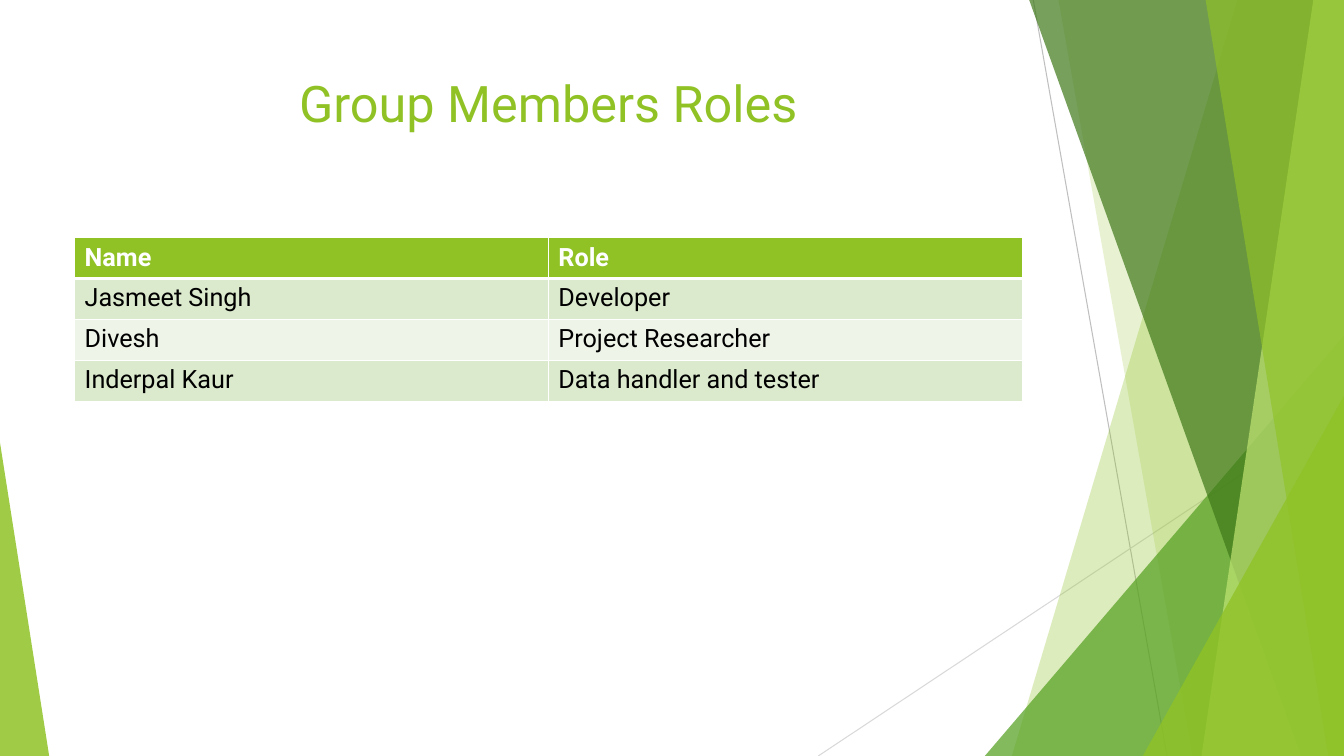
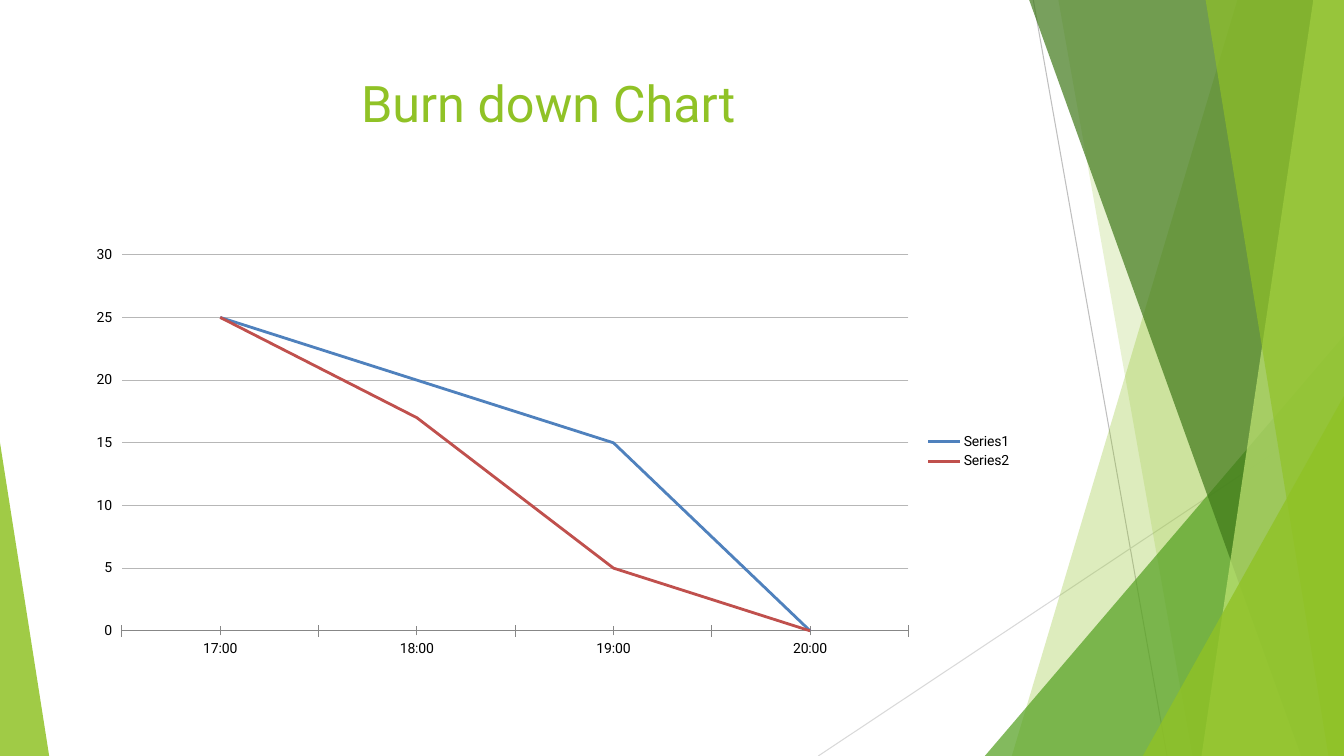
import lxml.etree
import pptx
import pptx.chart.data
import pptx.dml.color
import pptx.enum.chart
import pptx.enum.shapes
import pptx.enum.text
import pptx.oxml
import pptx.oxml.ns
import pptx.util

Cm = pptx.util.Cm
Pt = pptx.util.Pt
RGBColor = pptx.dml.color.RGBColor
qn = pptx.oxml.ns.qn

LIME = RGBColor(0x90, 0xC2, 0x26)
PALE_LIME = RGBColor(0xC0, 0xE4, 0x74)
GREEN = RGBColor(0x54, 0xA0, 0x21)
DARK_GREEN = RGBColor(0x3F, 0x78, 0x19)
BAND_DARK = RGBColor(0xDB, 0xE9, 0xCD)
BAND_LIGHT = RGBColor(0xEE, 0xF4, 0xE8)
WHITE = RGBColor(0xFF, 0xFF, 0xFF)
BLACK = RGBColor(0x00, 0x00, 0x00)
MID_GREY = RGBColor(0xBF, 0xBF, 0xBF)
LIGHT_GREY = RGBColor(0xD9, 0xD9, 0xD9)
GRID_GREY = RGBColor(0xB7, 0xB7, 0xB7)
AXIS_GREY = RGBColor(0x87, 0x87, 0x87)
BLUE = RGBColor(0x4F, 0x81, 0xBD)
RED = RGBColor(0xC0, 0x50, 0x4D)

FONT = "Roboto"
SLIDE_WIDTH, SLIDE_HEIGHT = 33.87, 19.05
CONTENT_LEFT, CONTENT_TOP, CONTENT_WIDTH = 1.88, 5.99, 23.88
ROW_HEIGHT = 1.03


def paint(shape, color, opacity):
    """Fill a shape with a see-through colour, without outline or shadow."""
    shape.shadow.inherit = False
    shape.line.fill.background()
    shape.fill.solid()
    shape.fill.fore_color.rgb = color
    color_element = shape.element.spPr.find(qn("a:solidFill"))[0]
    alpha = lxml.etree.SubElement(color_element, qn("a:alpha"))
    alpha.set("val", str(opacity * 1000))


def add_thin_line(slide, start, end, color):
    """Draw a hairline between two points."""
    line = slide.shapes.add_connector(
        pptx.enum.shapes.MSO_CONNECTOR.STRAIGHT,
        *(Cm(value) for value in start + end))
    line.line.color.rgb = color
    line.line.width = Pt(0.75)
    lxml.etree.SubElement(line.element.spPr, qn("a:effectLst"))


def add_facet(slide, top_x, bottom_x, color, opacity):
    """Draw a full-height facet from a slanted left edge to the slide's right edge."""
    top = -0.02
    corners = [(top_x, top), (SLIDE_WIDTH, top),
               (SLIDE_WIDTH, SLIDE_HEIGHT), (bottom_x, SLIDE_HEIGHT)]
    points = [(Cm(x), Cm(y)) for x, y in corners]
    builder = slide.shapes.build_freeform(*points[0])
    builder.add_line_segments(points[1:], close=True)
    paint(builder.convert_to_shape(), color, opacity)


def add_corner(slide, left, top, width, peak, color, opacity):
    """Draw a triangle standing on the bottom edge of the slide."""
    triangle = slide.shapes.add_shape(
        pptx.enum.shapes.MSO_SHAPE.ISOSCELES_TRIANGLE,
        Cm(left), Cm(top), Cm(width), Cm(SLIDE_HEIGHT - top))
    triangle.adjustments[0] = peak
    paint(triangle, color, opacity)


def add_background(slide):
    """Draw the lines and facets that every slide shares."""
    add_thin_line(slide, (26.04, 0), (29.41, SLIDE_HEIGHT), MID_GREY)
    add_thin_line(slide, (SLIDE_WIDTH, 10.24), (20.62, SLIDE_HEIGHT), LIGHT_GREY)
    add_facet(slide, 31.19, 25.5, LIME, 30)
    add_facet(slide, 26.67, 30.05, LIME, 20)
    add_corner(slide, 24.82, 8.46, SLIDE_WIDTH - 24.82, 1, GREEN, 72)
    add_facet(slide, 25.93, 32.79, DARK_GREEN, 70)
    add_facet(slide, 33.1, 30.28, PALE_LIME, 70)
    add_facet(slide, 30.38, 33.48, LIME, 65)
    add_corner(slide, 28.8, 9.98, SLIDE_WIDTH - 28.8, 1, LIME, 80)
    add_corner(slide, 0, 11.15, 1.24, 0, LIME, 85)


def add_run(paragraph, text, size, color, bold=False):
    """Append one formatted run to a paragraph."""
    run = paragraph.add_run()
    run.text = text
    run.font.name = FONT
    run.font.size = Pt(size)
    run.font.bold = bold
    run.font.color.rgb = color


def add_title(slide, text):
    """Add the centred title."""
    box = slide.shapes.add_textbox(
        Cm(CONTENT_LEFT), Cm(1.7), Cm(CONTENT_WIDTH), Cm(3.66))
    frame = box.text_frame
    frame.word_wrap = True
    frame.vertical_anchor = pptx.enum.text.MSO_ANCHOR.TOP
    paragraph = frame.paragraphs[0]
    paragraph.alignment = pptx.enum.text.PP_ALIGN.CENTER
    add_run(paragraph, text, 36, LIME)


def add_titled_slide(presentation, title):
    """Add a blank slide with the shared background and a title."""
    slide = presentation.slides.add_slide(presentation.slide_layouts[6])
    add_background(slide)
    add_title(slide, title)
    return slide


def set_borders(cell, top, bottom):
    """Give a cell white borders; top and bottom widths are in points."""
    properties = cell._tc.get_or_add_tcPr()
    for side, width in (("L", 1), ("R", 1), ("T", top), ("B", bottom)):
        border = lxml.etree.SubElement(properties, qn("a:ln" + side))
        border.set("w", str(Pt(width)))
        fill = lxml.etree.SubElement(border, qn("a:solidFill"))
        lxml.etree.SubElement(fill, qn("a:srgbClr")).set("val", str(WHITE))


def add_banded_table(slide, rows):
    """Add a table with a header row and banded body rows."""
    table = slide.shapes.add_table(
        len(rows), len(rows[0]), Cm(CONTENT_LEFT), Cm(CONTENT_TOP),
        Cm(CONTENT_WIDTH), Cm(ROW_HEIGHT * len(rows))).table
    for row_index, texts in enumerate(rows):
        header = row_index == 0
        band = BAND_DARK if row_index % 2 else BAND_LIGHT
        for column_index, text in enumerate(texts):
            cell = table.cell(row_index, column_index)
            set_borders(cell, top=3 if row_index == 1 else 1,
                        bottom=3 if header else 1)
            cell.fill.solid()
            cell.fill.fore_color.rgb = LIME if header else band
            add_run(cell.text_frame.paragraphs[0], text, 18,
                    WHITE if header else BLACK, header)


def place_plot(chart, **fractions):
    """Fix the inner plot area as fractions of the chart frame."""
    plot_area = chart.plots[0]._element.getparent()
    for old_layout in plot_area.findall(qn("c:layout")):
        plot_area.remove(old_layout)
    layout = lxml.etree.Element(qn("c:layout"))
    manual = lxml.etree.SubElement(layout, qn("c:manualLayout"))
    settings = {"layoutTarget": "inner", "xMode": "edge", "yMode": "edge"}
    for name, value in (settings | fractions).items():
        lxml.etree.SubElement(manual, qn("c:" + name)).set("val", str(value))
    plot_area.insert(0, layout)


def add_line_chart(slide, categories, series_list):
    """Add a line chart from (name, values, color) series."""
    data = pptx.chart.data.CategoryChartData()
    data.categories = categories
    for name, values, _ in series_list:
        data.add_series(name, values)
    chart = slide.shapes.add_chart(
        pptx.enum.chart.XL_CHART_TYPE.LINE, Cm(CONTENT_LEFT), Cm(CONTENT_TOP),
        Cm(CONTENT_WIDTH), Cm(10.77), data).chart
    chart.has_title = False
    chart.font.name = FONT
    chart.font.size = Pt(10)
    chart.font.color.rgb = BLACK
    chart.has_legend = True
    chart.legend.position = pptx.enum.chart.XL_LEGEND_POSITION.RIGHT
    chart.legend.include_in_layout = False
    chart.plots[0].vary_by_categories = False
    for series, (_, _, color) in zip(chart.plots[0].series, series_list):
        series.smooth = False
        series.marker.style = pptx.enum.chart.XL_MARKER_STYLE.NONE
        series.format.line.color.rgb = color
        series.format.line.width = Pt(2)
    for axis in (chart.category_axis, chart.value_axis):
        axis.major_tick_mark = pptx.enum.chart.XL_TICK_MARK.CROSS
        axis.minor_tick_mark = pptx.enum.chart.XL_TICK_MARK.CROSS
    chart.category_axis.format.line.color.rgb = AXIS_GREY
    value_axis = chart.value_axis
    value_axis.minimum_scale, value_axis.maximum_scale = 0, 30
    value_axis.major_unit = 5
    value_axis.format.line.fill.background()
    value_axis.has_major_gridlines = True
    value_axis.major_gridlines.format.line.color.rgb = GRID_GREY
    value_axis.major_gridlines.format.line.width = Pt(0.75)
    place_plot(chart, x=0.05, y=0.04, w=0.83, h=0.88)


def main():
    """Build both slides and save the presentation."""
    presentation = pptx.Presentation()
    presentation.slide_width = Cm(SLIDE_WIDTH)
    presentation.slide_height = Cm(SLIDE_HEIGHT)

    roles_slide = add_titled_slide(presentation, "Group Members Roles")
    add_banded_table(roles_slide, [
        ("Name", "Role"),
        ("Jasmeet Singh", "Developer"),
        ("Divesh", "Project Researcher"),
        ("Inderpal Kaur", "Data handler and tester"),
    ])

    burn_down_slide = add_titled_slide(presentation, "Burn down Chart")
    add_line_chart(burn_down_slide, ["17:00", "18:00", "19:00", "20:00"], [
        ("Series1", (25, 20, 15, 0), BLUE),
        ("Series2", (25, 17, 5, 0), RED),
    ])

    presentation.save("out.pptx")


main()
